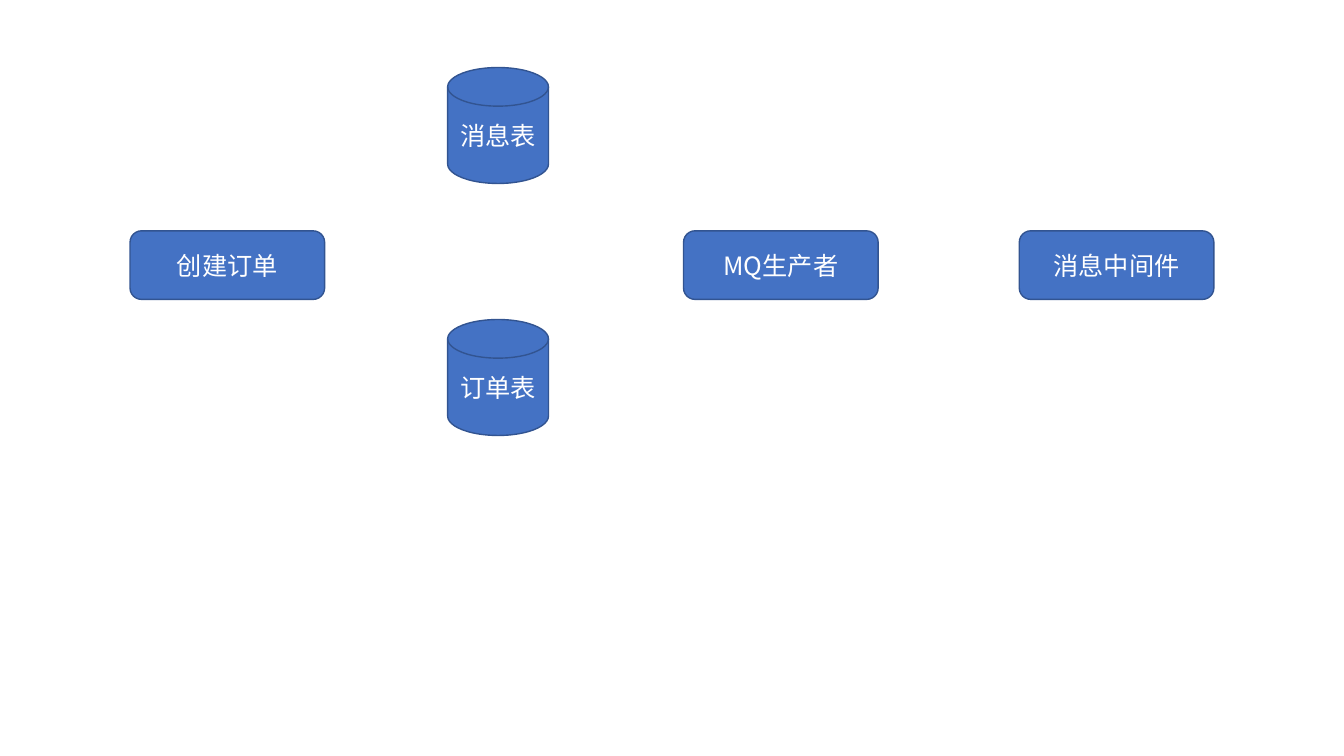
from lxml import etree
from pptx import Presentation
from pptx.dml.color import RGBColor
from pptx.enum.shapes import MSO_SHAPE
from pptx.enum.text import MSO_ANCHOR, PP_ALIGN
from pptx.oxml.ns import qn
from pptx.util import Inches, Pt

STEP_SHAPE = MSO_SHAPE.ROUNDED_RECTANGLE
TABLE_SHAPE = MSO_SHAPE.FLOWCHART_MAGNETIC_DISK
MIDDLE = MSO_ANCHOR.MIDDLE
CENTER = PP_ALIGN.CENTER

COLORS = {"fill": "4472C4", "outline": "325491", "label": "FFFFFF"}
FONT = "Noto Sans CJK SC"

STEP_TOP = 2.29
STEPS = {"创建订单": 1.29, "MQ生产者": 6.78, "消息中间件": 10.11}
TABLE_LEFT = 4.44
TABLES = {"消息表": 0.67, "订单表": 3.17}


def color(name):
    return RGBColor.from_string(COLORS[name])


def write_text(frame, text, *, size=18, ink="label", align=CENTER, anchor=MIDDLE):
    frame.word_wrap = True
    frame.vertical_anchor = anchor
    paragraph = frame.paragraphs[0]
    paragraph.alignment = align
    run = paragraph.add_run()
    run.text = text
    run.font.size = Pt(size)
    run.font.name = FONT
    run.font.color.rgb = color(ink)
    east_asian = etree.SubElement(run.font._element, qn("a:ea"))
    east_asian.set("typeface", FONT)


class FlowDiagram:
    def __init__(self, slide):
        self.slide = slide

    def node(self, kind, label, left, top, width, height):
        node = self.slide.shapes.add_shape(
            kind, Inches(left), Inches(top), Inches(width), Inches(height)
        )
        node.shadow.inherit = False
        node.fill.solid()
        node.fill.fore_color.rgb = color("fill")
        node.line.color.rgb = color("outline")
        node.line.width = Pt(1)
        write_text(node.text_frame, label)

    def step(self, label, left):
        self.node(STEP_SHAPE, label, left, STEP_TOP, 1.93, 0.68)

    def table_store(self, label, top):
        self.node(TABLE_SHAPE, label, TABLE_LEFT, top, 1, 1.15)


def main():
    deck = Presentation()
    deck.slide_width = Inches(13.33)
    deck.slide_height = Inches(7.5)
    diagram = FlowDiagram(deck.slides.add_slide(deck.slide_layouts[6]))
    for label, left in STEPS.items():
        diagram.step(label, left)
    for label, top in TABLES.items():
        diagram.table_store(label, top)
    deck.save("out.pptx")


if __name__ == "__main__":
    main()
